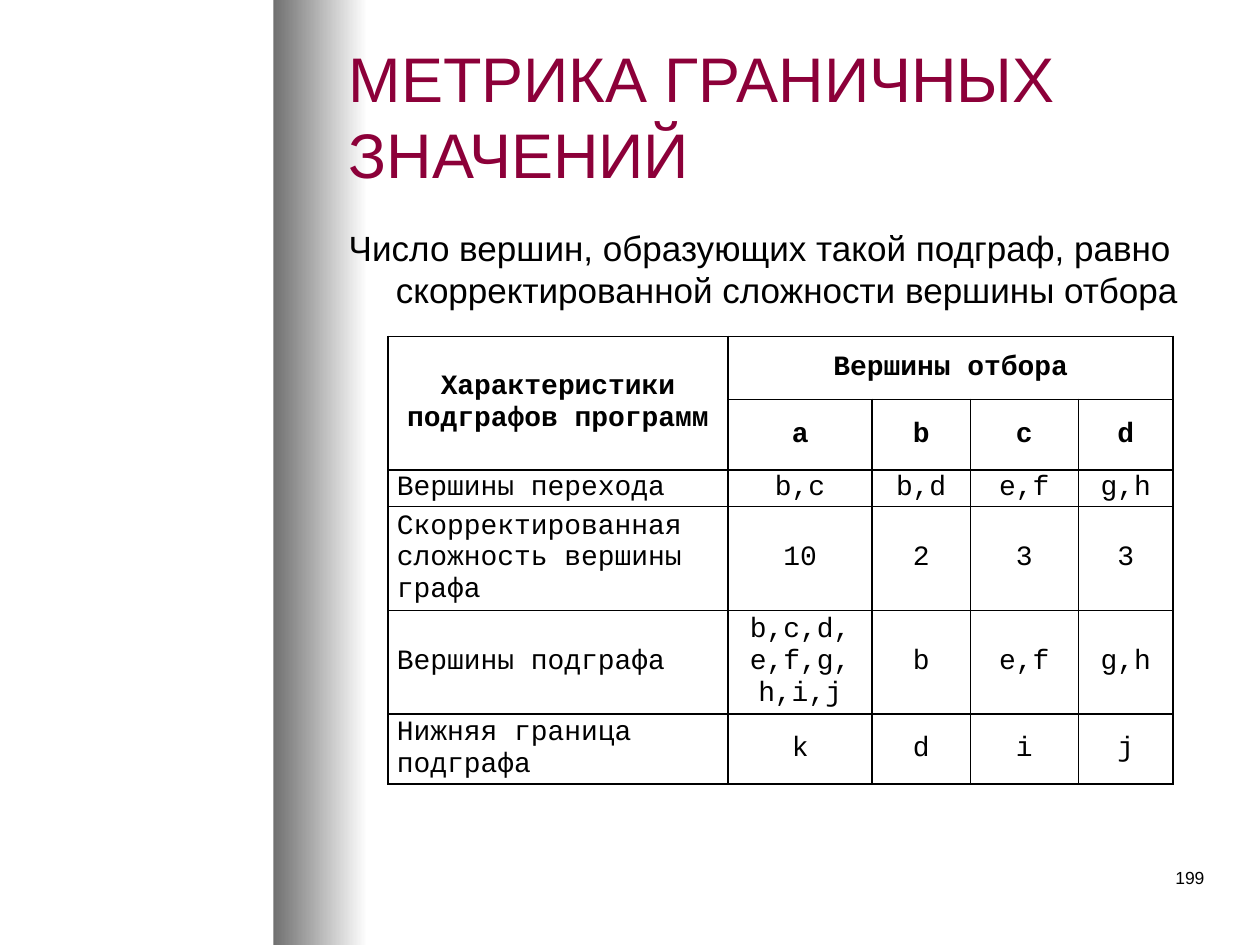
"""Build the slide on the boundary value metric with its table of subgraphs."""
from dataclasses import dataclass

from lxml import etree
from pptx import Presentation
from pptx import util as u
from pptx.dml import color
from pptx.enum import shapes, text
from pptx.oxml import ns

BLACK = color.RGBColor(0x00, 0x00, 0x00)
WHITE = color.RGBColor(0xFF, 0xFF, 0xFF)
WINE = color.RGBColor(0x8C, 0x00, 0x39)
GREY = color.RGBColor(0x70, 0x70, 0x70)
LEFT, MID, RIGHT = text.PP_ALIGN.LEFT, text.PP_ALIGN.CENTER, text.PP_ALIGN.RIGHT
TOP, CENTRE = text.MSO_ANCHOR.TOP, text.MSO_ANCHOR.MIDDLE


@dataclass(frozen=True)
class Font:
    size: int
    tint: color.RGBColor = BLACK
    face: str = "Arial"
    bold: bool = False


@dataclass(frozen=True)
class Label:
    words: str
    box: tuple[float, float, float, float]
    font: Font
    align: text.PP_ALIGN = LEFT
    anchor: text.MSO_ANCHOR = TOP
    hang: float = 0
    before: float = 0


HEAD = Font(16, face="Courier New", bold=True)
CELL = Font(16, face="Courier New")
LABELS = [
    Label("МЕТРИКА ГРАНИЧНЫХ ЗНАЧЕНИЙ", (6.78, 0.64, 17.78, 3.38),
          Font(36, WINE), anchor=CENTRE),
    Label("Число вершин, образующих такой подграф, равно "
          "скорректированной сложности вершины отбора",
          (6.78, 4.45, 17.98, 2.74), Font(20), hang=0.95, before=4),
    Label("199", (19.25, 17.35, 5.28, 1.27), Font(10), align=RIGHT),
]
COLS = [6.86, 2.9, 1.98, 2.18, 1.91]
ROWS = [1.27, 1.42, 0.74, 2.08, 2.08, 1.4]
HEADS = 2
GRID = [
    ["Характеристики\nподграфов программ", "Вершины отбора", "", "", ""],
    ["", "a", "b", "c", "d"],
    ["Вершины перехода", "b,c", "b,d", "e,f", "g,h"],
    ["Скорректированная сложность вершины графа", "10", "2", "3", "3"],
    ["Вершины подграфа", "b,c,d,\ne,f,g,\nh,i,j", "b", "e,f", "g,h"],
    ["Нижняя граница подграфа", "k", "d", "i", "j"],
]


def write(frame, words: str, font: Font, align: text.PP_ALIGN) -> None:
    """Write each line of the words as one paragraph."""
    for n, line in enumerate(words.split("\n")):
        para = frame.add_paragraph() if n else frame.paragraphs[0]
        para.alignment = align
        run = para.add_run()
        run.text = line
        run.font.size = u.Pt(font.size)
        run.font.name = font.face
        run.font.bold = font.bold
        run.font.color.rgb = font.tint


def draw_band(slide) -> None:
    """Draw the shaded upright band."""
    band = slide.shapes.add_shape(shapes.MSO_SHAPE.RECTANGLE, u.Cm(5.51), 0,
                                  u.Cm(1.9), u.Cm(19.05))
    band.shadow.inherit = False
    band.line.fill.background()
    band.fill.gradient()
    band.fill.gradient_angle = 0
    for stop, tint, place in zip(band.fill.gradient_stops, (GREY, WHITE), (0, 1)):
        stop.color.rgb = tint
        stop.position = place


def draw_label(slide, label: Label) -> None:
    """Draw a wrapped text box."""
    frame = slide.shapes.add_textbox(*map(u.Cm, label.box)).text_frame
    frame.word_wrap = True
    frame.vertical_anchor = label.anchor
    write(frame, label.words, label.font, label.align)
    para = frame.paragraphs[0]
    para.space_before = u.Pt(label.before)
    if label.hang:
        props = para._p.get_or_add_pPr()
        props.set("marL", str(u.Cm(label.hang)))
        props.set("indent", str(-u.Cm(label.hang)))


def rule(cell) -> None:
    """Put a thin black line on every side of a cell."""
    props = cell._tc.get_or_add_tcPr()
    for n, side in enumerate(("lnL", "lnR", "lnT", "lnB")):
        line = etree.Element(ns.qn(f"a:{side}"), w=str(u.Pt(1)))
        fill = etree.SubElement(line, ns.qn("a:solidFill"))
        etree.SubElement(fill, ns.qn("a:srgbClr"), val=str(BLACK))
        props.insert(n, line)


def draw_table(slide) -> None:
    """Draw the table of subgraphs."""
    table = slide.shapes.add_table(len(ROWS), len(COLS), u.Cm(7.82), u.Cm(6.78),
                                   u.Cm(sum(COLS)), u.Cm(sum(ROWS))).table
    for col, width in zip(table.columns, COLS):
        col.width = u.Cm(width)
    for row, height in zip(table.rows, ROWS):
        row.height = u.Cm(height)
    table.cell(0, 0).merge(table.cell(1, 0))
    table.cell(0, 1).merge(table.cell(0, 4))
    for r, line in enumerate(GRID):
        for c, words in enumerate(line):
            cell = table.cell(r, c)
            cell.fill.background()
            cell.vertical_anchor = CENTRE
            cell.margin_left = cell.margin_right = u.Cm(0.18)
            cell.margin_top = cell.margin_bottom = u.Cm(0.03)
            rule(cell)
            if words:
                head = r < HEADS
                write(cell.text_frame, words, HEAD if head else CELL,
                      MID if head or c else LEFT)


def main() -> None:
    """Build and save the slide."""
    deck = Presentation()
    deck.slide_width, deck.slide_height = u.Cm(25.4), u.Cm(19.05)
    slide = deck.slides.add_slide(deck.slide_layouts[6])
    draw_band(slide)
    for label in LABELS:
        draw_label(slide, label)
    draw_table(slide)
    deck.save("out.pptx")


if __name__ == "__main__":
    main()
